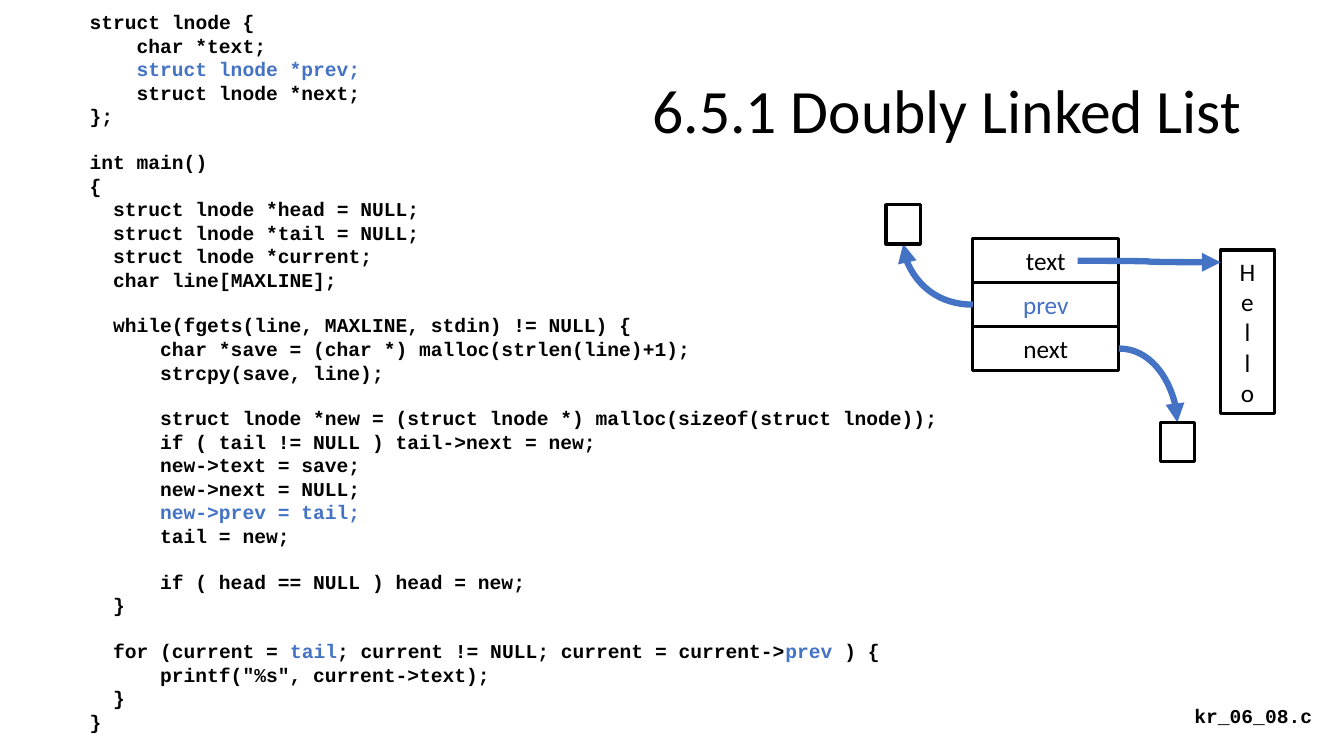
import pptx
import pptx.dml.color
import pptx.enum.shapes
import pptx.enum.text
import pptx.util
from lxml import etree

WIDTH, HEIGHT = 13.333, 7.5
BLACK, BLUE = "000000", "4472C4"
MONO, SANS = "Courier New", "Calibri"
CODE_SIZE = 14
CHAR_WIDTH = CODE_SIZE * 0.6
LINE_HEIGHT = CODE_SIZE * 1.133
MARK = "`"
CODE = """struct lnode {
    char *text;
    `struct lnode *prev;`
    struct lnode *next;
};

int main()
{
  struct lnode *head = NULL;
  struct lnode *tail = NULL;
  struct lnode *current;
  char line[MAXLINE];

  while(fgets(line, MAXLINE, stdin) != NULL) {
      char *save = (char *) malloc(strlen(line)+1);
      strcpy(save, line);

      struct lnode *new = (struct lnode *) malloc(sizeof(struct lnode));
      if ( tail != NULL ) tail->next = new;
      new->text = save;
      new->next = NULL;
      `new->prev = tail;`
      tail = new;

      if ( head == NULL ) head = new;
  }

  for (current = `tail`; current != NULL; current = current->`prev` ) {
      printf("%s", current->text);
  }
}"""


def rgb(color):
    return pptx.dml.color.RGBColor.from_string(color)


def across(percent):
    return pptx.util.Inches(WIDTH * percent / 100)


def down(percent):
    return pptx.util.Inches(HEIGHT * percent / 100)


def place(left, top, width, height):
    return across(left), down(top), across(width), down(height)


def add_run(p, text, font, size, color=BLACK, bold=False):
    r = p.add_run()
    r.text = text
    r.font.name = font
    r.font.size = pptx.util.Pt(size)
    r.font.bold = bold
    r.font.color.rgb = rgb(color)


def add_text(s, box, wrap=True):
    tf = s.shapes.add_textbox(*place(*box)).text_frame
    tf.word_wrap = wrap
    return tf


def add_title(s, box, text):
    tf = add_text(s, box)
    tf.vertical_anchor = pptx.enum.text.MSO_ANCHOR.MIDDLE
    p = tf.paragraphs[0]
    p.alignment = pptx.enum.text.PP_ALIGN.RIGHT
    p.line_spacing = 0.9
    add_run(p, text, SANS, 44)


def add_code(s, box, code):
    tf = add_text(s, box, wrap=False)
    p = tf.paragraphs[0]
    for b, block in enumerate(code.split("\n\n")):
        for n, line in enumerate(block.split("\n")):
            if b or n:
                p = tf.add_paragraph()
            if b and not n:
                p.space_before = pptx.util.Pt(LINE_HEIGHT)
            text = line.lstrip()
            indent = pptx.util.Pt(CHAR_WIDTH * (len(line) - len(text)))
            pPr = p._p.get_or_add_pPr()
            pPr.set("marL", str(indent))
            pPr.set("indent", "0")
            for i, part in enumerate(text.split(MARK)):
                if part:
                    add_run(p, part, MONO, CODE_SIZE, BLUE if i % 2 else BLACK, True)


def add_box(s, box, lines=(), color=BLACK):
    sp = s.shapes.add_shape(pptx.enum.shapes.MSO_SHAPE.RECTANGLE, *place(*box))
    sp.shadow.inherit = False
    sp.fill.background()
    sp.line.color.rgb = rgb(BLACK)
    sp.line.width = pptx.util.Pt(2.25)
    tf = sp.text_frame
    tf.vertical_anchor = pptx.enum.text.MSO_ANCHOR.MIDDLE
    for i, text in enumerate(lines):
        p = tf.add_paragraph() if i else tf.paragraphs[0]
        p.alignment = pptx.enum.text.PP_ALIGN.CENTER
        add_run(p, text, SANS, 18, color)


def add_arrow(s, start, end, preset="curvedConnector2"):
    c = s.shapes.add_connector(
        pptx.enum.shapes.MSO_CONNECTOR.CURVE,
        across(start[0]), down(start[1]), across(end[0]), down(end[1]))
    c.line.color.rgb = rgb(BLUE)
    c.line.width = pptx.util.Pt(4.5)
    spPr = c._element.spPr
    spPr.find(pptx.oxml.ns.qn("a:prstGeom")).set("prst", preset)
    tail = etree.SubElement(c.line._get_or_add_ln(), pptx.oxml.ns.qn("a:tailEnd"))
    tail.set("type", "triangle")
    etree.SubElement(spPr, pptx.oxml.ns.qn("a:effectLst"))


def add_node(s):
    left, top, width, row = 72.38, 31.6, 10.87, 5.8
    right = left + width
    side, tall = 2.55, 5.2
    before, after = (65.93, 27.07), (86.33, 55.87)
    word_left = 90.83

    fields = [("text", BLACK), ("prev", BLUE), ("next", BLACK)]
    for i, (name, color) in enumerate(fields):
        add_box(s, (left, top + i * row, width, row), [name], color)
    add_box(s, (word_left, 33.07, 3.98, 21.6), "Hello")

    text_y, prev_y, next_y = [top + (i + 0.5) * row for i in range(3)]
    add_arrow(s, (80.18, text_y), (word_left, text_y + 0.2), "curvedConnector3")
    add_arrow(s, (left, prev_y), (before[0] + side / 2, before[1] + tall))
    add_arrow(s, (right, next_y), (after[0] + side / 2, after[1]))
    for corner in (before, after):
        add_box(s, (*corner, side, tall))


def main():
    prs = pptx.Presentation()
    prs.slide_width, prs.slide_height = across(100), down(100)
    s = prs.slides.add_slide(prs.slide_layouts[6])
    add_title(s, (6.9, 5.33, 86.25, 19.33), "6.5.1 Doubly Linked List")
    add_code(s, (5.93, 0.67, 64.95, 98.67), CODE)
    add_code(s, (88.13, 92.4, 11.33, 4.53), "kr_06_08.c")
    add_node(s)
    prs.save("out.pptx")


main()
